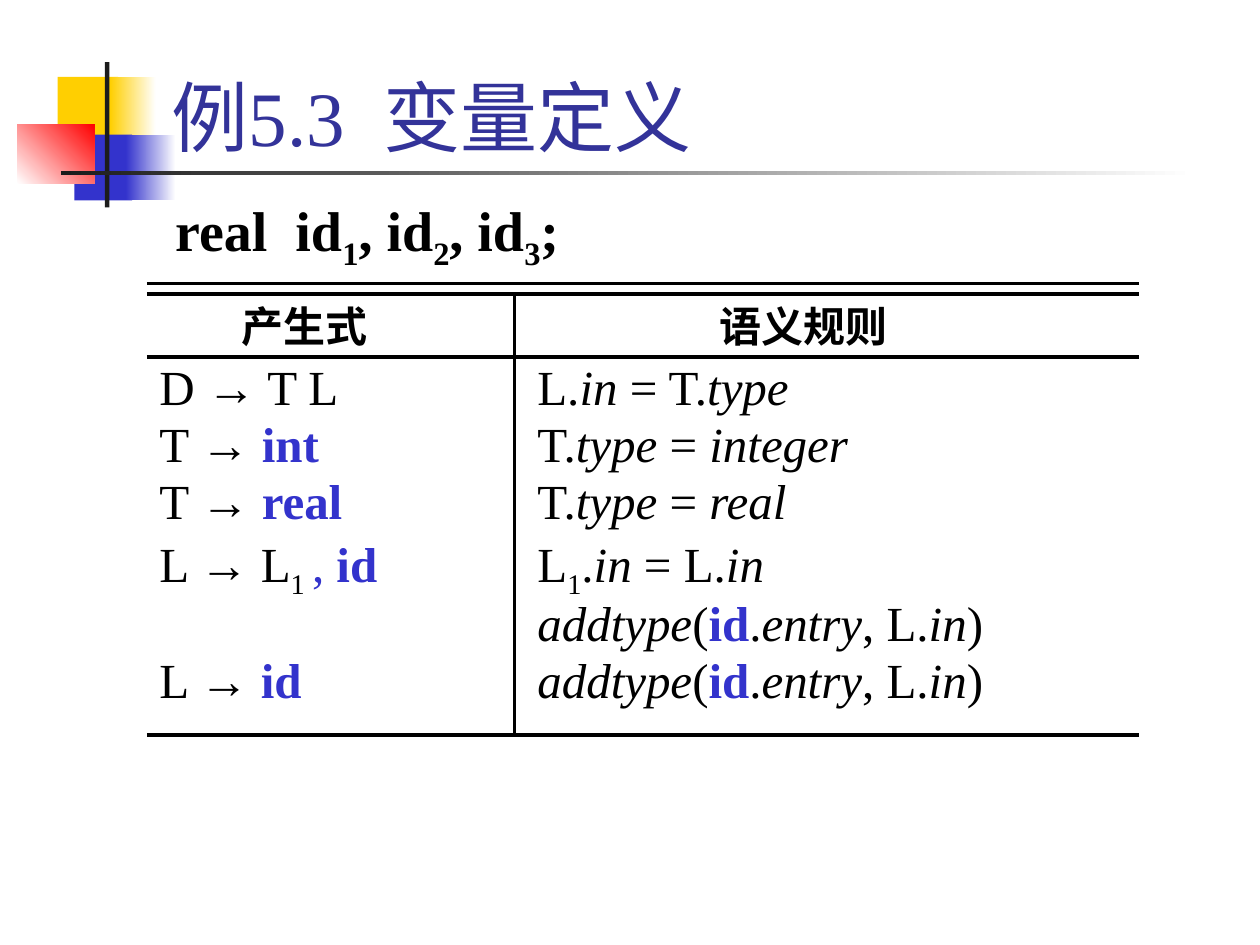
import pptx
import pptx.dml.color
import pptx.enum.shapes
import pptx.enum.text
import pptx.util
from lxml import etree

Pt = pptx.util.Pt
ALIGN = pptx.enum.text.PP_ALIGN
ANCHOR = pptx.enum.text.MSO_ANCHOR
FACE = "Times New Roman"
BLACK, DARK, BLUE, NAVY = "000000", "1C1C1C", "3333CC", "333399"
GOLD, RED, WHITE = "FFCF01", "FF0000", "FFFFFF"

STYLES = {
    "": {},
    "it": {"italic": True},
    "key": {"bold": True, "color": BLUE},
    "blue": {"color": BLUE},
    "sub": {"base": -25000},
}

CALL = [("addtype", "it"), ("(", ""), ("id", "key"), (".", ""),
        ("entry", "it"), (", L.", ""), ("in", "it"), (")", "")]
RULES = [
    [("D → T L\t\tL.", ""), ("in", "it"), (" = T.", ""), ("type", "it")],
    *([("T → ", ""), (key, "key"), (" \t\tT.", ""), ("type", "it"),
       (" = ", ""), (kind, "it")]
      for key, kind in (("int", "integer"), ("real", "real"))),
    [("L → L", ""), ("1 ", "sub"), (", ", "blue"), ("id\t", "key"),
     ("\tL", ""), ("1", "sub"), (".", ""), ("in", "it"),
     (" = L.", ""), ("in", "it")],
    [("\t\t\t", ""), *CALL],
    [("L → ", ""), ("id \t\t", "key"), *CALL],
]
DECL = [("real  id", ""), ("1", "sub"), (", id", ""), ("2", "sub"),
        (", id", ""), ("3", "sub"), (";", "")]


def rgb(code):
    """Turn a hex string into a colour."""
    return pptx.dml.color.RGBColor.from_string(code)


def put(item, values):
    """Set each attribute in the dict of values."""
    for name, value in values.items():
        setattr(item, name, value)


def write(slide, box, paras, font, para=None, anchor=ANCHOR.TOP):
    """Add a text box whose paragraphs are lists of styled runs."""
    frame = slide.shapes.add_textbox(*map(Pt, box)).text_frame
    put(frame, {"word_wrap": True, "vertical_anchor": anchor})
    for num, runs in enumerate(paras):
        line = frame.add_paragraph() if num else frame.paragraphs[0]
        put(line, para or {})
        line._p.get_or_add_pPr().set("defTabSz", str(Pt(72)))
        for text, style in runs:
            run = line.add_run()
            run.text = text
            look = {"name": FACE, "color": BLACK, **font, **STYLES[style]}
            run.font.color.rgb = rgb(look.pop("color"))
            base = look.pop("base", 0)
            if base:
                run._r.get_or_add_rPr().set("baseline", str(base))
            put(run.font, look)


def block(slide, box, start, end=None, angle=0):
    """Add a plain or two-colour rectangle without an outline."""
    shape = slide.shapes.add_shape(
        pptx.enum.shapes.MSO_SHAPE.RECTANGLE, *map(Pt, box))
    shape.shadow.inherit = False
    shape.line.fill.background()
    if end is None:
        shape.fill.solid()
        shape.fill.fore_color.rgb = rgb(start)
        return
    shape.fill.gradient()
    shape.fill.gradient_angle = angle
    for stop, code in zip(shape.fill.gradient_stops, (start, end)):
        stop.color.rgb = rgb(code)


def rule(slide, left, top, right, foot):
    """Draw a black line between two points."""
    line = slide.shapes.add_connector(
        pptx.enum.shapes.MSO_CONNECTOR.STRAIGHT,
        *map(Pt, (left, top, right, foot)))
    line.line.width = Pt(2)
    line.line.color.rgb = rgb(BLACK)
    space = "{http://schemas.openxmlformats.org/drawingml/2006/main}"
    etree.SubElement(line._element.spPr, space + "effectLst")


def motif(slide, left, top, width, height):
    """Draw the coloured squares and the crossing bars."""
    for x, y, w, h, *fill in (
        (23, 8.5, 34.5, 37.5, GOLD),
        (53, 8.5, 26, 37.5, GOLD, WHITE),
        (32.5, 41.5, 33, 37.5, BLUE),
        (62, 41.5, 28.5, 37.5, BLUE, WHITE),
        (0, 35.5, 44, 34, WHITE, RED, 45),
        (50, 0, 2.5, height, DARK),
        (25, 62.5, width - 25, 2, DARK, WHITE),
    ):
        block(slide, (left + x, top + y, w, h), *fill)


def heading(slide, left, top, width, height):
    """Write the title and the declaration below it."""
    write(slide, (left, top, width, 90), [[("例5.3  变量定义", "")]],
          {"size": Pt(44), "color": NAVY}, anchor=ANCHOR.BOTTOM)
    write(slide, (left + 2, top + height - 48, width, 48), [DECL],
          {"size": Pt(32), "bold": True}, {"space_before": Pt(4)})


def grammar(slide, left, top, width, height):
    """Draw the ruled table of productions and semantic rules."""
    right, foot, split = left + width, top + height, left + 210
    for y in (top, top + 6, top + 42, foot):
        rule(slide, left, y, right, y)
    rule(slide, split, top + 6, split, foot)
    write(slide, (left, top + 42, 558, 205), RULES, {"size": Pt(28)},
          {"line_spacing": 0.89, "space_before": Pt(2.8)})
    for x, wide, text in ((36, 108, "产生式"), (312, 126, "语义规则")):
        write(slide, (left + x, top + 6, wide, 36), [[(text, "")]],
              {"size": Pt(24), "bold": True}, {"alignment": ALIGN.CENTER})


def main():
    """Build the slide and save it."""
    deck = pptx.Presentation()
    put(deck, {"slide_width": Pt(720), "slide_height": Pt(540)})
    slide = deck.slides.add_slide(deck.slide_layouts[6])
    motif(slide, 10, 35.5, 673, 83)
    heading(slide, 91, 6, 613, 150)
    grammar(slide, 84, 162, 567, 258)
    deck.save("out.pptx")


if __name__ == "__main__":
    main()
